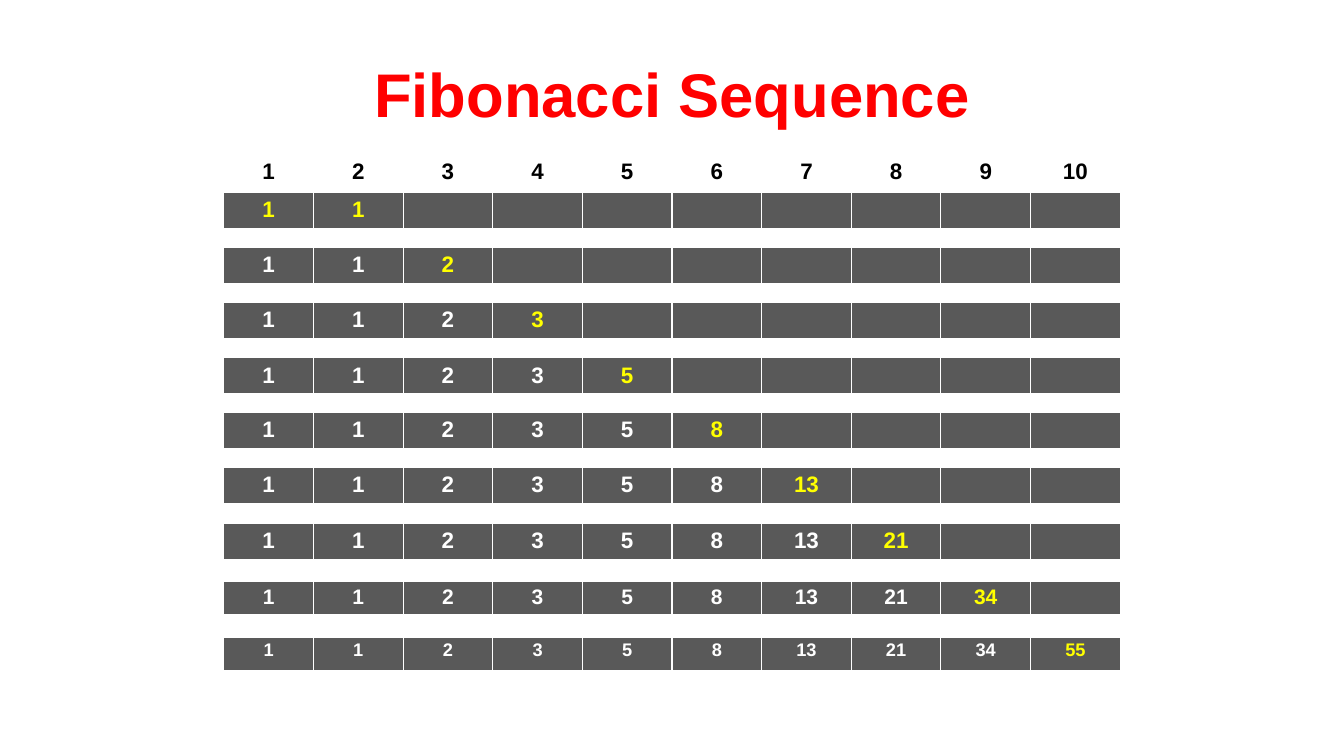
from dataclasses import dataclass

from lxml import etree
from pptx import Presentation
from pptx.dml.color import RGBColor
from pptx.enum.text import MSO_ANCHOR, PP_ALIGN
from pptx.oxml.ns import qn
from pptx.slide import Slide
from pptx.table import _Cell
from pptx.util import Inches, Pt

CENTER = PP_ALIGN.CENTER
MIDDLE = MSO_ANCHOR.MIDDLE
TITLE_ONLY = 5
COLUMNS = 10
TABLE_LEFT = 2.22
TABLE_WIDTH = 8.89
BORDERS = {"a:lnL": 1, "a:lnR": 1, "a:lnT": 1, "a:lnB": 3}


@dataclass(frozen=True)
class Theme:
    font: str = "Arial"
    title: str = "FF0000"
    band: str = "595959"
    light: str = "FFFFFF"
    dark: str = "000000"
    newest: str = "FFFF00"
    title_size: int = 44
    cell_size: int = 16
    compact_size: int = 15
    small_size: int = 13


THEME = Theme()


@dataclass(frozen=True)
class Band:
    top: float
    height: float = 0.37
    row_height: float = 0.37
    size: int = THEME.cell_size
    inset: float = 0.05


HEADER = Band(1.53, 0.36, 0.23)
STEPS = [
    Band(1.91, 0.36, 0.23),
    Band(2.45),
    Band(3.0),
    Band(3.55),
    Band(4.09),
    Band(4.64),
    Band(5.19),
    Band(5.77, 0.34, 0.34, THEME.compact_size, 0.04),
    Band(6.32, 0.35, 0.35, THEME.small_size, 0.03),
]


def fibonacci(count: int) -> list[int]:
    numbers = [1, 1]
    while len(numbers) < count:
        numbers.append(numbers[-1] + numbers[-2])
    return numbers


def add_borders(cell: _Cell) -> None:
    properties = cell._tc.get_or_add_tcPr()
    for tag, points in BORDERS.items():
        line = etree.SubElement(properties, qn(tag), w=str(Pt(points)))
        fill = etree.SubElement(line, qn("a:solidFill"))
        etree.SubElement(fill, qn("a:srgbClr"), val=THEME.light)


def format_cell(cell: _Cell, band: Band, fill: str) -> None:
    add_borders(cell)
    cell.fill.solid()
    cell.fill.fore_color.rgb = RGBColor.from_string(fill)
    cell.margin_left = cell.margin_right = Inches(0.1)
    cell.margin_top = cell.margin_bottom = Inches(band.inset)


def write_cell(cell: _Cell, text: str, size: int, color: str) -> None:
    para = cell.text_frame.paragraphs[0]
    para.alignment = CENTER
    if not text:
        etree.SubElement(para._p, qn("a:endParaRPr"), sz=str(size * 100))
        return
    span = para.add_run()
    span.text = text
    span.font.name = THEME.font
    span.font.size = Pt(size)
    span.font.bold = True
    span.font.color.rgb = RGBColor.from_string(color)


def add_band(page: Slide, band: Band, fill: str, texts: list[str], colors: list[str]) -> None:
    frame = page.shapes.add_table(
        1, COLUMNS, Inches(TABLE_LEFT), Inches(band.top),
        Inches(TABLE_WIDTH), Inches(band.row_height),
    )
    frame.height = Inches(band.height)
    table = frame.table
    table.first_row = False
    table.horz_banding = False
    for cell, text, color in zip(table.rows[0].cells, texts, colors):
        format_cell(cell, band, fill)
        write_cell(cell, text, band.size, color)


def add_title(page: Slide) -> None:
    box = page.shapes.title
    box.left, box.top = Inches(0.67), Inches(0.3)
    box.width, box.height = Inches(12), Inches(1.25)
    box.text_frame.vertical_anchor = MIDDLE
    para = box.text_frame.paragraphs[0]
    para.alignment = CENTER
    span = para.add_run()
    span.text = "Fibonacci Sequence"
    span.font.name = THEME.font
    span.font.size = Pt(THEME.title_size)
    span.font.bold = True
    span.font.color.rgb = RGBColor.from_string(THEME.title)


def main() -> None:
    deck = Presentation()
    deck.slide_width = Inches(13.33)
    deck.slide_height = Inches(7.5)
    page = deck.slides.add_slide(deck.slide_layouts[TITLE_ONLY])
    add_title(page)

    numbers = fibonacci(COLUMNS)
    for known, band in enumerate(STEPS, start=2):
        first_new = 0 if known == 2 else known - 1
        texts = [str(number) if i < known else "" for i, number in enumerate(numbers)]
        colors = [THEME.newest if i >= first_new else THEME.light for i in range(COLUMNS)]
        add_band(page, band, THEME.band, texts, colors)

    positions = [str(i + 1) for i in range(COLUMNS)]
    add_band(page, HEADER, THEME.light, positions, [THEME.dark] * COLUMNS)
    deck.save("out.pptx")


if __name__ == "__main__":
    main()
